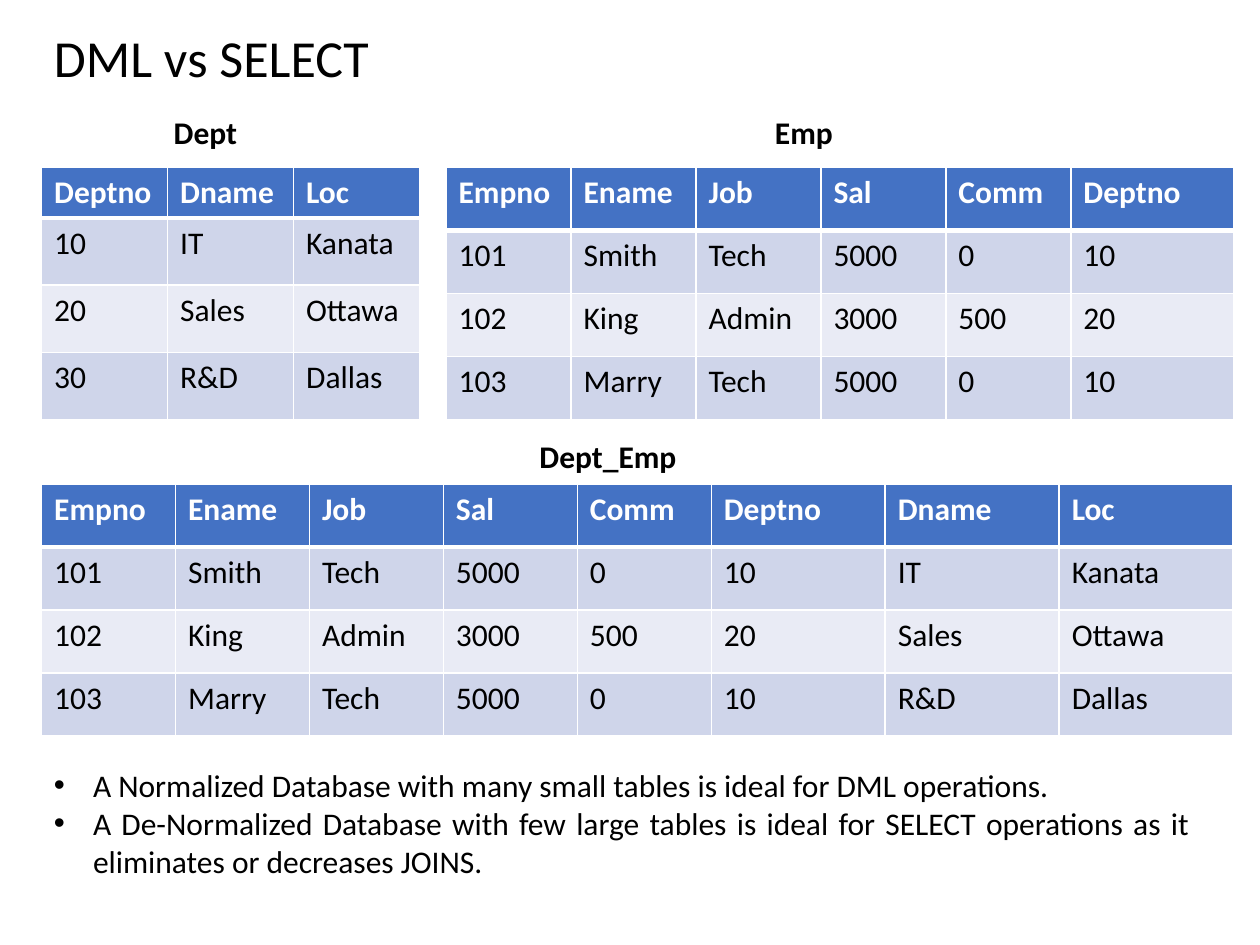
from lxml.etree import SubElement
from pptx import Presentation
from pptx.dml.color import RGBColor
from pptx.enum.text import MSO_ANCHOR, PP_ALIGN
from pptx.oxml.ns import qn
from pptx.util import Inches, Pt

GRID_COLUMNS, GRID_ROWS = 100, 75
SLIDE_WIDTH, SLIDE_HEIGHT = Inches(10), Inches(7.5)
LEFT, CONTENT_WIDTH = 3.3, 94.6
FONT = "Calibri"
BLACK, WHITE, HEADER = "000000", "FFFFFF", "4472C4"
BANDS = ("CFD5EA", "E9EBF5")

DEPT = [
    ["Deptno", "Dname", "Loc"],
    ["10", "IT", "Kanata"],
    ["20", "Sales", "Ottawa"],
    ["30", "R&D", "Dallas"],
]
EMP = [
    ["Empno", "Ename", "Job", "Sal", "Comm", "Deptno"],
    ["101", "Smith", "Tech", "5000", "0", "10"],
    ["102", "King", "Admin", "3000", "500", "20"],
    ["103", "Marry", "Tech", "5000", "0", "10"],
]
DEPT_EMP = [emp + dept[1:] for emp, dept in zip(EMP, DEPT)]
NOTES = [
    "A Normalized Database with many small tables is ideal for DML operations.",
    "A De-Normalized Database with few large tables is ideal for SELECT "
    "operations as it eliminates or decreases JOINS.",
]


def across(columns):
    return round(SLIDE_WIDTH * columns / GRID_COLUMNS)


def down(rows):
    return round(SLIDE_HEIGHT * rows / GRID_ROWS)


def color(value):
    return RGBColor.from_string(value)


def write(para, text, size=18, ink=BLACK, bold=False, align=PP_ALIGN.LEFT, spacing=None):
    para.alignment = align
    if spacing:
        para.line_spacing = spacing
    span = para.add_run()
    span.text = text
    span.font.name = FONT
    span.font.size = Pt(size)
    span.font.bold = bold
    span.font.color.rgb = color(ink)


def add_box(page, left, top, width, height, anchor=MSO_ANCHOR.TOP):
    box = page.shapes.add_textbox(across(left), down(top), across(width), down(height))
    box.text_frame.word_wrap = True
    box.text_frame.vertical_anchor = anchor
    return box.text_frame


def add_caption(page, text, left, top, width):
    frame = add_box(page, left, top, width, 4)
    write(frame.paragraphs[0], text, bold=True, align=PP_ALIGN.CENTER)


def add_bullet(para, indent):
    properties = para._p.get_or_add_pPr()
    properties.set("marL", str(indent))
    properties.set("indent", str(-indent))
    SubElement(properties, qn("a:buFont"), typeface="Arial")
    SubElement(properties, qn("a:buChar"), char="•")


def add_notes(page, notes, left, top, width, height):
    frame = add_box(page, left, top, width, height)
    for index, note in enumerate(notes):
        para = frame.add_paragraph() if index else frame.paragraphs[0]
        write(para, note, align=PP_ALIGN.JUSTIFY)
        add_bullet(para, across(3.1))


def add_borders(cell, top, bottom):
    properties = cell._tc.get_or_add_tcPr()
    for side, points in (("L", 1), ("R", 1), ("T", top), ("B", bottom)):
        line = SubElement(properties, qn(f"a:ln{side}"), w=str(Pt(points)))
        fill = SubElement(line, qn("a:solidFill"))
        SubElement(fill, qn("a:srgbClr"), val=WHITE)


def add_data_table(page, records, left, top, widths, heights):
    table = page.shapes.add_table(
        len(records), len(widths), across(left), down(top),
        across(sum(widths)), down(sum(heights)),
    ).table
    for column, width in zip(table.columns, widths):
        column.width = across(width)
    for index, (row, height, record) in enumerate(zip(table.rows, heights, records)):
        row.height = down(height)
        heading = index == 0
        for cell, text in zip(row.cells, record):
            add_borders(cell, 3 if index == 1 else 1, 3 if heading else 1)
            cell.fill.solid()
            cell.fill.fore_color.rgb = color(HEADER if heading else BANDS[(index - 1) % 2])
            write(cell.text_frame.paragraphs[0], text,
                  ink=WHITE if heading else BLACK, bold=heading)


def main():
    deck = Presentation()
    deck.slide_width, deck.slide_height = SLIDE_WIDTH, SLIDE_HEIGHT
    page = deck.slides.add_slide(deck.slide_layouts[6])

    title = add_box(page, LEFT, 2.8, CONTENT_WIDTH, 4, MSO_ANCHOR.MIDDLE)
    write(title.paragraphs[0], "DML vs SELECT", size=29.7, spacing=0.9)

    add_data_table(page, DEPT, LEFT, 13.3, [10] * 3, [3.9] + [5.33] * 3)
    add_data_table(page, EMP, 35.4, 13.3, [9.92] * 5 + [12.9], [5] * 4)
    add_caption(page, "Dept", 11.7, 8.5, 9.2)
    add_caption(page, "Emp", 59.2, 8.5, 9.2)
    add_data_table(page, DEPT_EMP, LEFT, 38.4, [10.63] * 5 + [13.81] * 3, [5] * 4)
    add_caption(page, "Dept_Emp", 40.7, 34.2, 15.1)
    add_notes(page, NOTES, LEFT, 60.3, 92.1, 10.1)

    deck.save("out.pptx")


if __name__ == "__main__":
    main()
